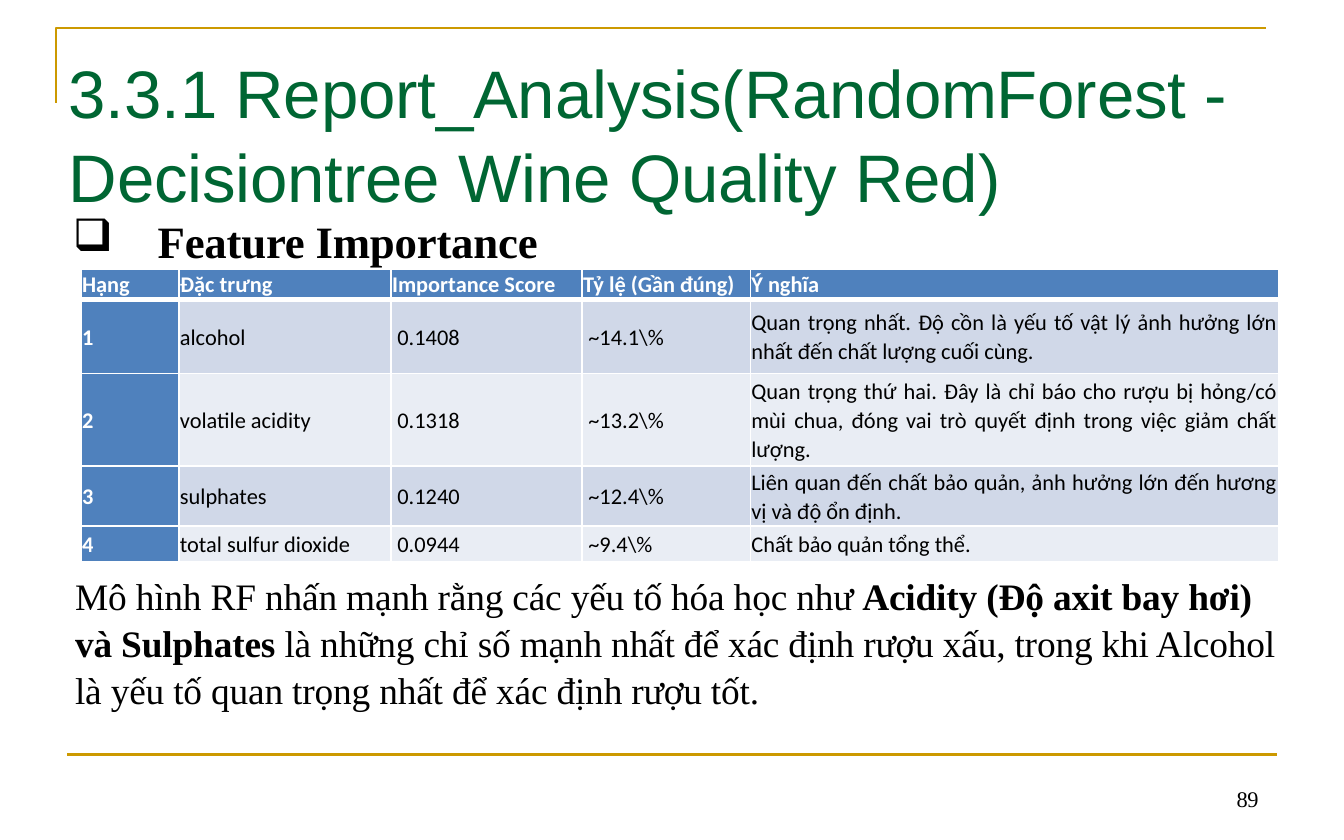
from lxml.etree import SubElement
from pptx import Presentation
from pptx.dml.color import RGBColor
from pptx.enum.shapes import MSO_CONNECTOR
from pptx.enum.text import MSO_ANCHOR, PP_ALIGN
from pptx.oxml.ns import qn
from pptx.util import Cm, Pt

GOLD, GREEN, BLUE = "CC9900", "006633", "4F81BD"
BLACK, WHITE = "000000", "FFFFFF"
BANDS = ("D0D8E8", "E9EDF4")
SERIF = "Times New Roman"

WIDTHS = (1.85, 4.01, 3.61, 3.18, 9.98)
HEIGHTS = (0.55, 1.4, 1.75, 1.05, 0.68)
SCORE_COLS = (2, 3)
ROWS = (
    ("Hạng", "Đặc trưng", "Importance Score", "Tỷ lệ (Gần đúng)", "Ý nghĩa"),
    ("1", "alcohol", "0.1408", "~14.1\\%",
     "Quan trọng nhất. Độ cồn là yếu tố vật lý ảnh hưởng lớn nhất "
     "đến chất lượng cuối cùng."),
    ("2", "volatile acidity", "0.1318", "~13.2\\%",
     "Quan trọng thứ hai. Đây là chỉ báo cho rượu bị hỏng/có mùi chua, "
     "đóng vai trò quyết định trong việc giảm chất lượng."),
    ("3", "sulphates", "0.1240", "~12.4\\%",
     "Liên quan đến chất bảo quản, ảnh hưởng lớn đến hương vị và độ ổn định."),
    ("4", "total sulfur dioxide", "0.0944", "~9.4\\%",
     "Chất bảo quản tổng thể."),
)
SUMMARY = (
    ("Mô hình RF nhấn mạnh rằng các yếu tố hóa học như ", False),
    ("Acidity (Độ axit bay hơi) và Sulphates ", True),
    ("là những chỉ số mạnh nhất để xác định rượu xấu, trong khi Alcohol "
     "là yếu tố quan trọng nhất để xác định rượu tốt.", False),
)


def paint(hue):
    return RGBColor.from_string(hue)


def write(frame, runs, size=20, font=SERIF, hue=BLACK, align=PP_ALIGN.LEFT,
          lead=1.05, track=0, bullet=None, indent=0):
    """Fill the first paragraph with (text, bold) runs."""
    frame.word_wrap = True
    par = frame.paragraphs[0]
    par.alignment = align
    par.line_spacing = lead
    if bullet:
        props = par._p.get_or_add_pPr()
        props.set("marL", str(Cm(indent)))
        props.set("indent", str(-Cm(indent)))
        SubElement(props, qn("a:buChar"), char=bullet)
    for text, bold in runs:
        run = par.add_run()
        run.text = text
        run.font.size = Pt(size)
        run.font.name = font
        run.font.bold = bold
        run.font.color.rgb = paint(hue)
        if track:
            run._r.get_or_add_rPr().set("spc", str(track))


def add_text(slide, box, runs, **style):
    frame = slide.shapes.add_textbox(*map(Cm, box)).text_frame
    frame.margin_left = frame.margin_right = frame.margin_bottom = 0
    frame.margin_top = Cm(0.05)
    write(frame, runs, **style)


def add_corner(slide, left, top, width, height):
    pen = slide.shapes.build_freeform(Cm(left), Cm(top + height))
    pen.add_line_segments(
        [(Cm(left), Cm(top)), (Cm(left + width), Cm(top))], close=False)
    corner = pen.convert_to_shape()
    corner.shadow.inherit = False
    corner.fill.background()
    corner.line.color.rgb = paint(GOLD)
    corner.line.width = Pt(1.5)


def add_footer(slide, left, top, width):
    rule = slide.shapes.add_connector(
        MSO_CONNECTOR.STRAIGHT, Cm(left), Cm(top), Cm(left + width), Cm(top))
    rule.line.color.rgb = paint(GOLD)
    rule.line.width = Pt(1.5)
    SubElement(rule._element.spPr, qn("a:effectLst"))
    add_text(slide, (left + width - 0.76, top + 0.54, 0.8, 0.56),
             [("89", False)], size=12, lead=Pt(13.8), track=-20)


def edge(cell, header):
    """Draw white borders, thicker below the header."""
    props = cell._tc.get_or_add_tcPr()
    for side in "LRTB":
        width = 3 if header and side == "B" else 1
        line = SubElement(props, qn(f"a:ln{side}"), w=str(Pt(width)))
        fill = SubElement(line, qn("a:solidFill"))
        SubElement(fill, qn("a:srgbClr"), val=WHITE)


def add_grid(slide, left, top):
    table = slide.shapes.add_table(
        len(ROWS), len(WIDTHS), Cm(left), Cm(top),
        Cm(sum(WIDTHS)), Cm(sum(HEIGHTS))).table
    table.horz_banding = False
    for col, width in zip(table.columns, WIDTHS):
        col.width = Cm(width)
    for r, (texts, height) in enumerate(zip(ROWS, HEIGHTS)):
        table.rows[r].height = Cm(height)
        for c, text in enumerate(texts):
            cell = table.cell(r, c)
            head = r == 0 or c == 0
            cell.margin_left = cell.margin_right = Cm(0.02)
            cell.margin_top = cell.margin_bottom = Cm(0.02)
            if r and c in SCORE_COLS:
                cell.margin_left = Cm(0.12)
            cell.vertical_anchor = MSO_ANCHOR.MIDDLE
            edge(cell, r == 0)
            cell.fill.solid()
            cell.fill.fore_color.rgb = paint(BLUE if head else BANDS[(r - 1) % 2])
            write(cell.text_frame, [(text, head)], size=12, font="Calibri",
                  hue=WHITE if head else BLACK, align=PP_ALIGN.JUSTIFY, lead=1.07)


def add_body(slide, left, top, width):
    add_text(slide, (left, top, width, 1.1), [("Feature Importance", True)],
             size=24, track=-10, bullet="❑", indent=1.6)
    add_grid(slide, left + 0.15, top + 1.14)
    add_text(slide, (left + 0.04, top + 6.8, width, 2.6), SUMMARY, track=-10)


def main():
    deck = Presentation()
    deck.slide_width, deck.slide_height = Cm(25.4), Cm(15.88)
    slide = deck.slides.add_slide(deck.slide_layouts[6])
    add_corner(slide, 1.06, 0.53, 22.86, 1.41)
    add_text(slide, (1.3, 0.84, 23.9, 3.12),
             [("3.3.1 Report_Analysis(RandomForest - "
               "Decisiontree Wine Quality Red)", False)],
             size=36, font="Arial", hue=GREEN, track=-10)
    add_body(slide, 1.38, 3.94, 22.7)
    add_footer(slide, 1.27, 14.27, 22.86)
    deck.save("out.pptx")


if __name__ == "__main__":
    main()
